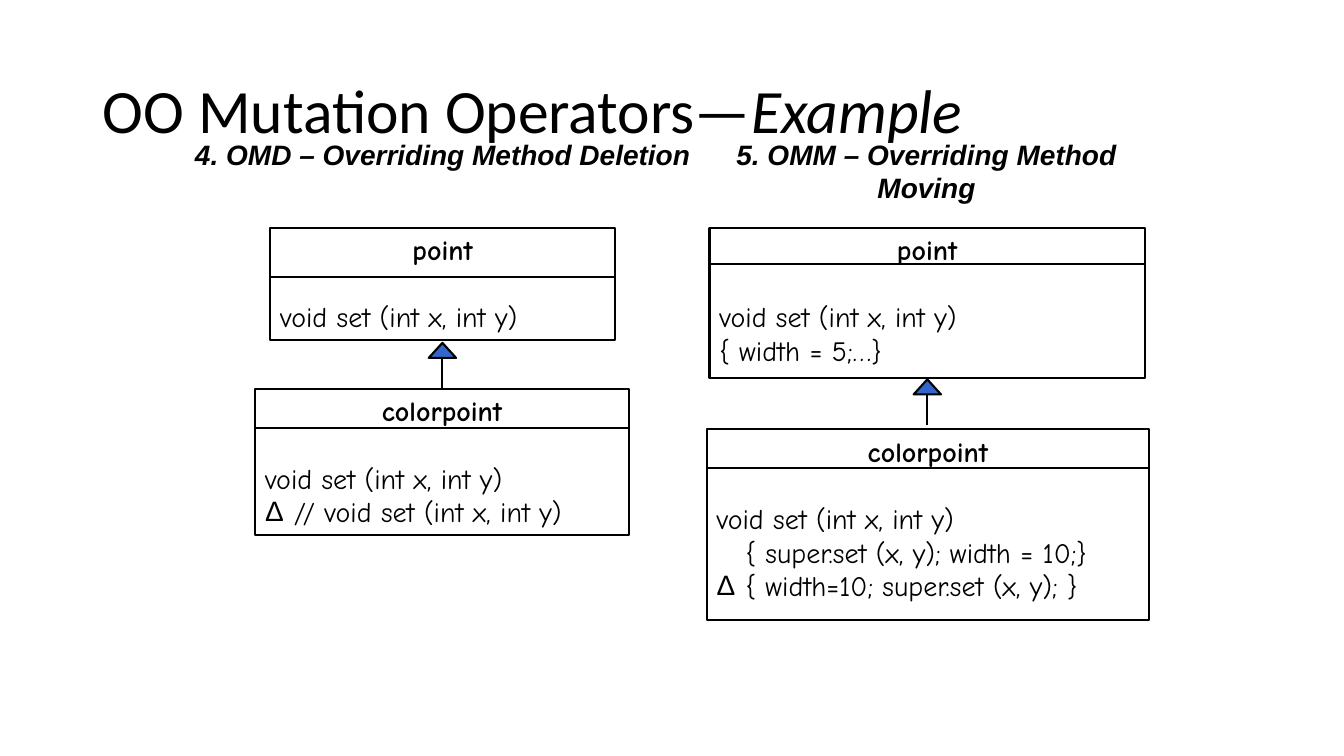
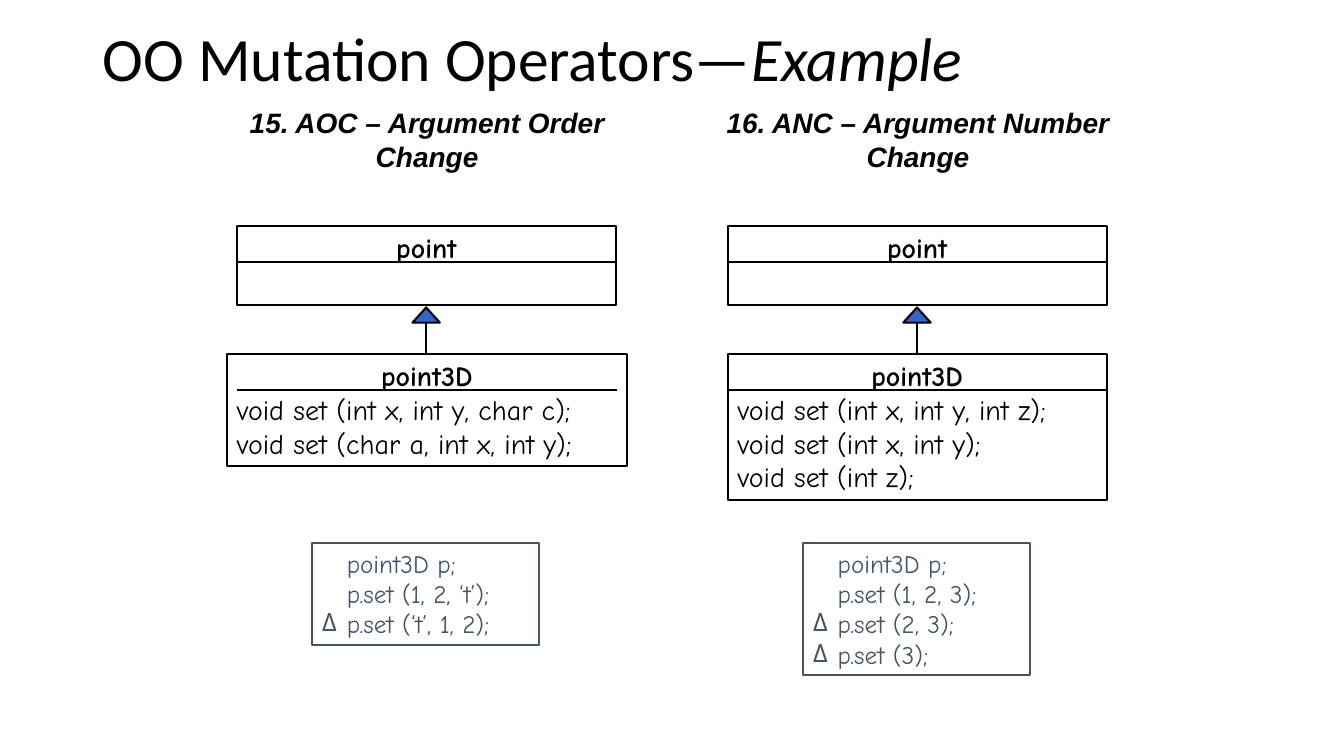
from pptx import Presentation
from pptx.dml.color import RGBColor
from pptx.enum.shapes import MSO_CONNECTOR as Link, MSO_SHAPE as Shape
from pptx.enum.text import MSO_ANCHOR as Anchor, PP_ALIGN as Align
from pptx.oxml.ns import qn
from pptx.util import Cm, Pt
from lxml.etree import SubElement as Sub

# Colours
BLACK = RGBColor(0x00, 0x00, 0x00)
BLUE = RGBColor(0x33, 0x66, 0xCC)
SLATE = RGBColor(0x44, 0x54, 0x6A)

# Text formats
TITLE = {"name": "Calibri", "size": Pt(44)}
HEAD = {"name": "Arial", "size": Pt(20), "bold": True, "italic": True}
CODE = {"name": "Comic Neue", "size": Pt(20), "bold": False}
NAME = CODE | {"bold": True}
SMALL = CODE | {"size": Pt(18)}

# Margin modes of a code line
PLAIN, INDENT, DELTA = range(3)
STEP = 12.37  # distance between the two columns of the second slide


def write(para, text, style, color=BLACK):
    run = para.add_run()
    run.text = text
    for key, value in style.items():
        setattr(run.font, key, value)
    run.font.color.rgb = color


def next_para(frame):
    return frame.paragraphs[0] if not frame.text else frame.add_paragraph()


def set_margin(para, mode, hang, face):
    """Indent a line, or hang it behind a delta mark."""
    if mode == PLAIN:
        return
    props = para._p.get_or_add_pPr()
    props.set("marL", str(Cm(hang)))
    props.set("indent", str(-Cm(hang) if mode == DELTA else 0))
    if mode == DELTA:
        Sub(props, qn("a:buFont")).set("typeface", face)
        Sub(props, qn("a:buChar")).set("char", "Δ")


def add_text(slide, x, y, w, h):
    frame = slide.shapes.add_textbox(Cm(x), Cm(y), Cm(w), Cm(h)).text_frame
    frame.word_wrap = True
    return frame


def add_title(slide, y):
    frame = add_text(slide, 2.34, y, 29.21, 3.12)
    frame.vertical_anchor = Anchor.MIDDLE
    para = frame.paragraphs[0]
    para.line_spacing = 0.9
    write(para, "OO Mutation Operators—", TITLE)
    write(para, "Example", TITLE | {"italic": True})


def add_head(slide, x, y, w, text):
    para = add_text(slide, x, y, w, 1.96).paragraphs[0]
    para.alignment = Align.CENTER
    write(para, text, HEAD)


def add_shape(slide, kind, x, y, w, h, color=BLACK):
    shape = slide.shapes.add_shape(kind, Cm(x), Cm(y), Cm(w), Cm(h))
    shape.shadow.inherit = False
    shape.fill.background()
    shape.line.color.rgb = color
    shape.line.width = Pt(1.5)
    return shape


def add_box(slide, x, y, w, h, color=BLACK):
    frame = add_shape(slide, Shape.RECTANGLE, x, y, w, h, color).text_frame
    frame.word_wrap = True
    frame.vertical_anchor = Anchor.TOP
    return frame


def add_line(slide, x, y, to_x, to_y):
    line = slide.shapes.add_connector(
        Link.STRAIGHT, Cm(x), Cm(y), Cm(to_x), Cm(to_y))
    line.line.color.rgb = BLACK
    line.line.width = Pt(1.5)
    Sub(line._element.spPr, qn("a:effectLst"))


def add_arrow(slide, mid, y):
    """Inheritance arrow: a filled triangle on a short stem."""
    w, h, stem = 0.69, 0.38, 0.77
    tip = add_shape(slide, Shape.ISOSCELES_TRIANGLE, mid - w / 2, y, w, h)
    tip.fill.solid()
    tip.fill.fore_color.rgb = BLUE
    add_line(slide, mid, y + h, mid, y + h + stem)


def add_rows(frame, rows, style, color, hang, face, gap=0):
    for i, (text, mode) in enumerate(rows):
        para = next_para(frame)
        para.alignment = Align.LEFT
        if gap and i == 0:
            para.space_before = Pt(gap)
        set_margin(para, mode, hang, face)
        write(para, text, style, color)


def add_class(slide, area, name, rows, rule, gap=0, inset=0):
    """Class box: name, a rule below it, then the methods."""
    x, y, w, h = area
    frame = add_box(slide, x, y, w, h)
    para = frame.paragraphs[0]
    para.alignment = Align.CENTER
    write(para, name, NAME)
    add_rows(frame, rows, CODE, BLACK, 0.73, "Arial", gap)
    add_line(slide, x + inset, y + rule, x + w - inset, y + rule)


def add_calls(slide, x, h, rows):
    frame = add_box(slide, x, 13.69, 5.72, h, SLATE)
    add_rows(frame, rows, SMALL, SLATE, 0.62, "Comic Neue")


def draw_override(slide):
    add_title(slide, 1.3)
    set_xy = ("void set (int x, int y)", PLAIN)

    # Method deletion
    add_head(slide, 4.52, 3.33, 13.28, "4. OMD – Overriding Method Deletion")
    add_class(slide, (6.81, 5.74, 8.69, 2.84), "point", [set_xy], 1.24, 24)
    add_arrow(slide, 11.15, 8.64)
    add_class(slide, (6.43, 9.8, 9.42, 3.68), "colorpoint",
              [set_xy, ("// void set (int x, int y)", DELTA)], 0.99, 24)

    # Method moving
    add_head(slide, 17.75, 3.33, 11.2, "5. OMM – Overriding Method Moving")
    add_class(slide, (17.88, 5.74, 10.97, 3.78), "point",
              [set_xy, ("{ width = 5;…}", PLAIN)], 0.92, 24)
    add_arrow(slide, 23.37, 9.56)
    add_class(slide, (17.81, 10.82, 11.15, 4.8), "colorpoint",
              [set_xy, ("{ super.set (x, y); width = 10;}", INDENT),
               ("{ width=10; super.set (x, y); }", DELTA)], 0.97, 24)


def draw_argument(slide):
    add_title(slide, 0)
    columns = [
        ("15. AOC – Argument Order Change", (5.72, 10.08, 2.82, 0.26),
         ["void set (int x, int y, char c);",
          "void set (char a, int x, int y);"],
         2.57, "p.set (1, 2, ‘t’);", ["p.set (‘t’, 1, 2);"]),
        ("16. ANC – Argument Number Change", (5.97, 9.55, 3.68, 0),
         ["void set (int x, int y, int z);", "void set (int x, int y);",
          "void set (int z);"],
         3.33, "p.set (1, 2, 3);", ["p.set (2, 3);", "p.set (3);"]),
    ]
    for i, (head, size, methods, tall, call, mutants) in enumerate(columns):
        dx = i * STEP
        x, w, h, inset = size
        add_head(slide, 4.95 + dx, 2.54, 11.63, head)

        # Class pair
        add_class(slide, (5.97 + dx, 5.69, 9.55, 2), "point", [], 0.91)
        add_arrow(slide, 10.74 + dx, 7.75)
        add_class(slide, (x + dx, 8.92, w, h), "point3D",
                  [(text, PLAIN) for text in methods], 0.91, inset=inset)

        # Calls and their mutants
        rows = [("point3D p;", INDENT), (call, INDENT)]
        rows += [(text, DELTA) for text in mutants]
        add_calls(slide, 7.87 + dx, tall, rows)


def main():
    deck = Presentation()
    deck.slide_width, deck.slide_height = Cm(33.87), Cm(19.05)
    for draw in (draw_override, draw_argument):
        draw(deck.slides.add_slide(deck.slide_layouts[6]))
    deck.save("out.pptx")


if __name__ == "__main__":
    main()
